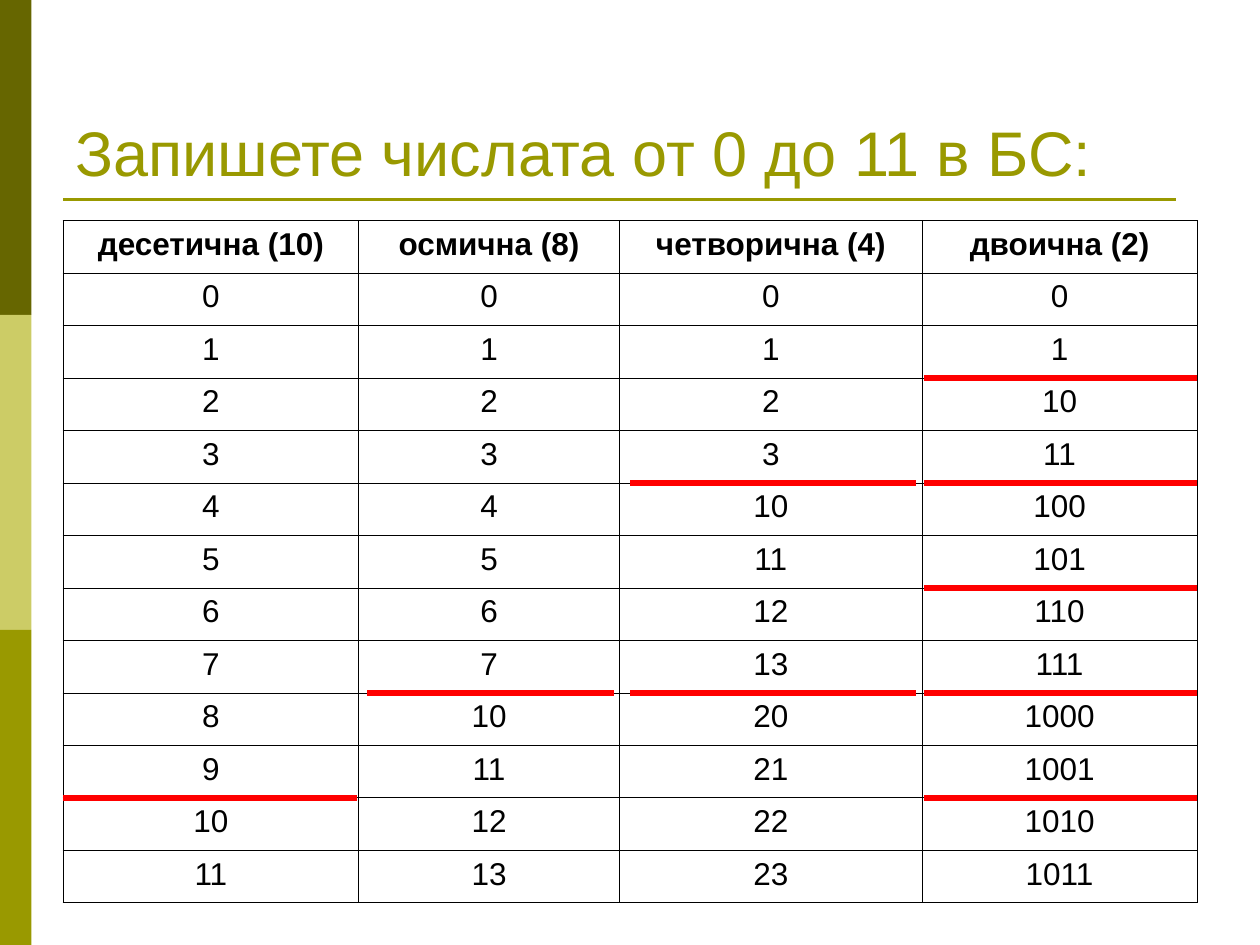
"""Build a slide with a table of the numbers 0 to 11 in four numeral systems."""
from itertools import accumulate

from lxml import etree
from pptx import Presentation
from pptx.dml.color import RGBColor
from pptx.enum import shapes, text
from pptx.oxml import ns
from pptx.util import Pt

DARK_OLIVE = RGBColor(0x66, 0x66, 0x00)
LIGHT_OLIVE = RGBColor(0xCC, 0xCC, 0x66)
OLIVE = RGBColor(0x99, 0x99, 0x00)
BLACK = RGBColor(0x00, 0x00, 0x00)
RED = RGBColor(0xFF, 0x00, 0x00)

TABLE_LEFT, TABLE_TOP, ROW_HEIGHT = 36, 126, 30
COLUMN_WIDTHS = [169, 149, 173, 157]
SYSTEMS = [("десетична", 10), ("осмична", 8), ("четворична", 4), ("двоична", 2)]
UNDERLINES = [
    (0, 0, 168, [11]),
    (0, 4, 168, [11]),
    (1, 5, 146, [9]),
    (2, 6, 169.5, [5, 9]),
    (3, 1, 157, [3, 5, 7, 9, 11]),
]


def in_base(number, base):
    """Return the digits of a number in the given base."""
    quotient, digit = divmod(number, base)
    return (in_base(quotient, base) if quotient else "") + str(digit)


class SlideBuilder:
    """Hold the text style and the slide being drawn."""

    font_name = "Arial"

    def __init__(self, slide):
        """Keep the current slide."""
        self.slide = slide

    def format(self, frame, size, color, alignment, bold=False):
        """Apply the text style to every run of a frame."""
        for paragraph in frame.paragraphs:
            paragraph.alignment = alignment
            for run in paragraph.runs:
                run.font.name = self.font_name
                run.font.size = Pt(size)
                run.font.bold = bold
                run.font.color.rgb = color

    def title(self, words, left, top, width, height):
        """Place and fill the title placeholder."""
        title = self.slide.shapes.title
        title.left, title.top = Pt(left), Pt(top)
        title.width, title.height = Pt(width), Pt(height)
        frame = title.text_frame
        frame.text = words
        frame.word_wrap = True
        frame.auto_size = text.MSO_AUTO_SIZE.NONE
        frame.vertical_anchor = text.MSO_ANCHOR.BOTTOM
        self.format(frame, 36, OLIVE, text.PP_ALIGN.LEFT)

    def rectangle(self, left, top, width, height, color):
        """Draw a filled rectangle without an outline."""
        shape = self.slide.shapes.add_shape(
            shapes.MSO_SHAPE.RECTANGLE, Pt(left), Pt(top), Pt(width), Pt(height))
        shape.shadow.inherit = False
        shape.fill.solid()
        shape.fill.fore_color.rgb = color
        shape.line.fill.background()

    def line(self, left, right, y, color, width):
        """Draw a horizontal line."""
        connector = self.slide.shapes.add_connector(
            shapes.MSO_CONNECTOR.STRAIGHT, Pt(left), Pt(y), Pt(right), Pt(y))
        connector.line.color.rgb = color
        connector.line.width = Pt(width)
        etree.SubElement(connector.element.spPr, ns.qn("a:effectLst"))

    def border(self, cell, color, width):
        """Draw all four borders of a table cell."""
        properties = cell._tc.get_or_add_tcPr()
        for side in ("L", "R", "T", "B"):
            edge = etree.SubElement(properties, ns.qn(f"a:ln{side}"), w=str(Pt(width)))
            fill = etree.SubElement(edge, ns.qn("a:solidFill"))
            etree.SubElement(fill, ns.qn("a:srgbClr"), val=str(color))

    def table(self, rows, left, top, column_widths, row_height):
        """Draw a bordered table with a bold first row."""
        table = self.slide.shapes.add_table(
            len(rows), len(column_widths), Pt(left), Pt(top),
            Pt(sum(column_widths)), Pt(row_height * len(rows))).table
        table.first_row = table.horz_banding = False
        for column, width in zip(table.columns, column_widths):
            column.width = Pt(width)
        for row_index, row in enumerate(rows):
            table.rows[row_index].height = Pt(row_height)
            for column_index, words in enumerate(row):
                cell = table.cell(row_index, column_index)
                cell.text_frame.text = words
                self.format(cell.text_frame, 18, BLACK, text.PP_ALIGN.CENTER, row_index == 0)
                self.border(cell, BLACK, 0.45)
                cell.fill.background()


def main():
    """Build and save the presentation."""
    presentation = Presentation()
    presentation.slide_width, presentation.slide_height = Pt(720), Pt(540)
    builder = SlideBuilder(presentation.slides.add_slide(presentation.slide_layouts[5]))

    for index, color in enumerate([DARK_OLIVE, LIGHT_OLIVE, OLIVE]):
        builder.rectangle(0, 180 * index, 18, 180, color)
    builder.line(36, 672, 114, OLIVE, 1.5)
    builder.title("Запишете числата от 0 до 11 в БС:", 36, 21.6, 648, 90)

    header = [f"{name} ({base})" for name, base in SYSTEMS]
    numbers = [[in_base(number, base) for _, base in SYSTEMS] for number in range(12)]
    builder.table([header] + numbers, TABLE_LEFT, TABLE_TOP, COLUMN_WIDTHS, ROW_HEIGHT)

    column_lefts = list(accumulate(COLUMN_WIDTHS, initial=TABLE_LEFT))
    for column, start, end, rows in UNDERLINES:
        left = column_lefts[column]
        for row in rows:
            builder.line(left + start, left + end, TABLE_TOP + ROW_HEIGHT * row, RED, 3)

    presentation.save("out.pptx")


if __name__ == "__main__":
    main()
